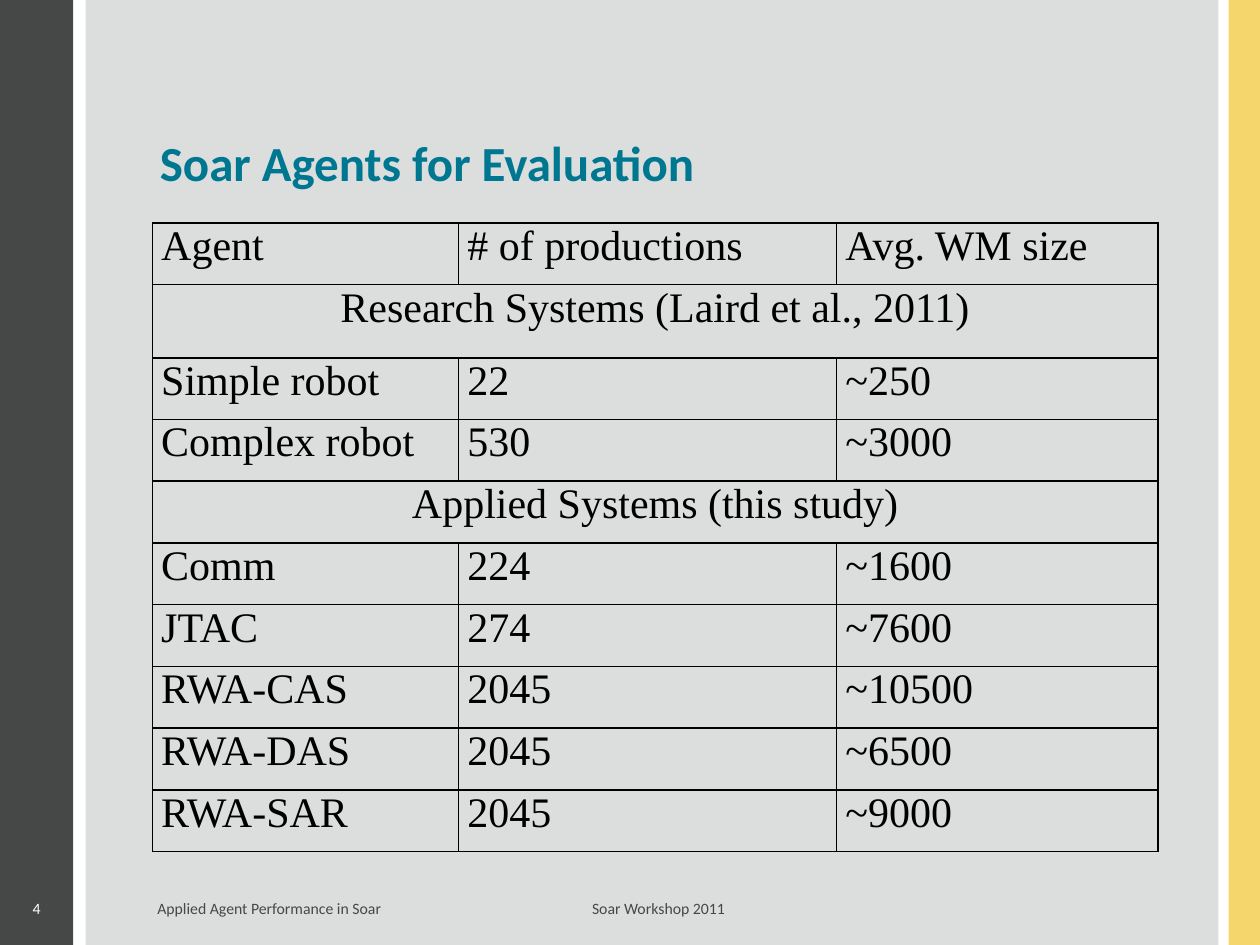
from lxml import etree
from pptx import Presentation, util as u
from pptx.dml.color import RGBColor
from pptx.enum import shapes, text
from pptx.oxml import ns

TITLE = "Soar Agents for Evaluation"
FOOT = ("Applied Agent Performance in Soar", "Soar Workshop 2011")
PAGE = "4"
ROWS = [
    ("Agent", "# of productions", "Avg. WM size"),
    ("Research Systems (Laird et al., 2011)",),
    ("Simple robot", "22", "~250"),
    ("Complex robot", "530", "~3000"),
    ("Applied Systems (this study)",),
    ("Comm", "224", "~1600"),
    ("JTAC", "274", "~7600"),
    ("RWA-CAS", "2045", "~10500"),
    ("RWA-DAS", "2045", "~6500"),
    ("RWA-SAR", "2045", "~9000"),
]
COLS = (2.43, 3, 2.55)
HIGH, TALL = 0.49, 0.58
W, H = 10, 7.5
DARK, GOLD, GREY = "464847", "F4D66C", "DCDEDE"
TEAL, BLACK, WHITE = "007790", "000000", "FFFFFF"
BANDS = [(0, 0.58, DARK), (9.75, 0.25, GOLD), (0.68, 8.99, GREY)]
LEFT, MID, JUST = (text.PP_ALIGN.LEFT, text.PP_ALIGN.CENTER,
                   text.PP_ALIGN.JUSTIFY)


def rgb(code):
    return RGBColor.from_string(code)


def write(para, words, size, face, tint, bold=False, align=LEFT):
    para.alignment = align
    run = para.add_run()
    run.text = words
    font = run.font
    font.size, font.name, font.bold = u.Pt(size), face, bold
    font.color.rgb = rgb(tint)


def label(slide, box, anchor, *look, **more):
    frame = slide.shapes.add_textbox(*map(u.Inches, box)).text_frame
    frame.word_wrap = True
    frame.vertical_anchor = anchor
    para = frame.paragraphs[0]
    write(para, *look, **more)
    return para


def add_tab(para, left):
    props = para._p.get_or_add_pPr()
    tabs = etree.SubElement(props, ns.qn("a:tabLst"))
    etree.SubElement(tabs, ns.qn("a:tab"), pos=str(u.Inches(left)), algn="l")


def frame_cell(cell):
    props = cell._tc.get_or_add_tcPr()
    for side in ("lnL", "lnR", "lnT", "lnB"):
        line = etree.SubElement(props, ns.qn("a:" + side), w=str(u.Pt(1)))
        fill = etree.SubElement(line, ns.qn("a:solidFill"))
        etree.SubElement(fill, ns.qn("a:srgbClr"), val=BLACK)
    cell.fill.background()


def add_grid(slide):
    highs = [TALL if i == 1 else HIGH for i in range(len(ROWS))]
    box = (1.21, 1.77, sum(COLS), sum(highs))
    grid = slide.shapes.add_table(
        len(ROWS), len(COLS), *map(u.Inches, box)).table
    grid.first_row = grid.horz_banding = False
    for col, wide in zip(grid.columns, COLS):
        col.width = u.Inches(wide)
    for r, (words, high) in enumerate(zip(ROWS, highs)):
        grid.rows[r].height = u.Inches(high)
        for c in range(len(COLS)):
            cell = grid.cell(r, c)
            frame_cell(cell)
            cell.margin_left = cell.margin_right = u.Inches(0.07)
            cell.margin_top = cell.margin_bottom = 0
        head = len(words) == 1
        if head:
            grid.cell(r, 0).merge(grid.cell(r, len(COLS) - 1))
        for c, word in enumerate(words):
            side = MID if head else JUST if r and c else LEFT
            write(grid.cell(r, c).text_frame.paragraphs[0], word,
                  24, "Times New Roman", BLACK, align=side)


def main():
    deck = Presentation()
    deck.slide_width, deck.slide_height = u.Inches(W), u.Inches(H)
    slide = deck.slides.add_slide(deck.slide_layouts[6])
    for left, wide, tint in BANDS:
        band = slide.shapes.add_shape(
            shapes.MSO_SHAPE.RECTANGLE,
            *map(u.Inches, (left, 0, wide, H)))
        band.shadow.inherit = False
        band.fill.solid()
        band.fill.fore_color.rgb = rgb(tint)
        band.line.fill.background()
    top, middle = text.MSO_ANCHOR.TOP, text.MSO_ANCHOR.MIDDLE
    label(slide, (1.17, 1, 8.08, 0.92), top,
          TITLE, 28, "Calibri", TEAL, bold=True)
    add_grid(slide)
    label(slide, (0, 6.96, 0.58, 0.5), middle,
          PAGE, 9, "Calibri", WHITE, align=MID)
    foot = label(slide, (1.15, 6.96, 8.08, 0.5), middle,
                 FOOT[0], 9, "Calibri", DARK)
    add_tab(foot, 3.45)
    write(foot, "\t" + FOOT[1], 9, "Calibri", DARK)
    deck.save("out.pptx")


if __name__ == "__main__":
    main()
